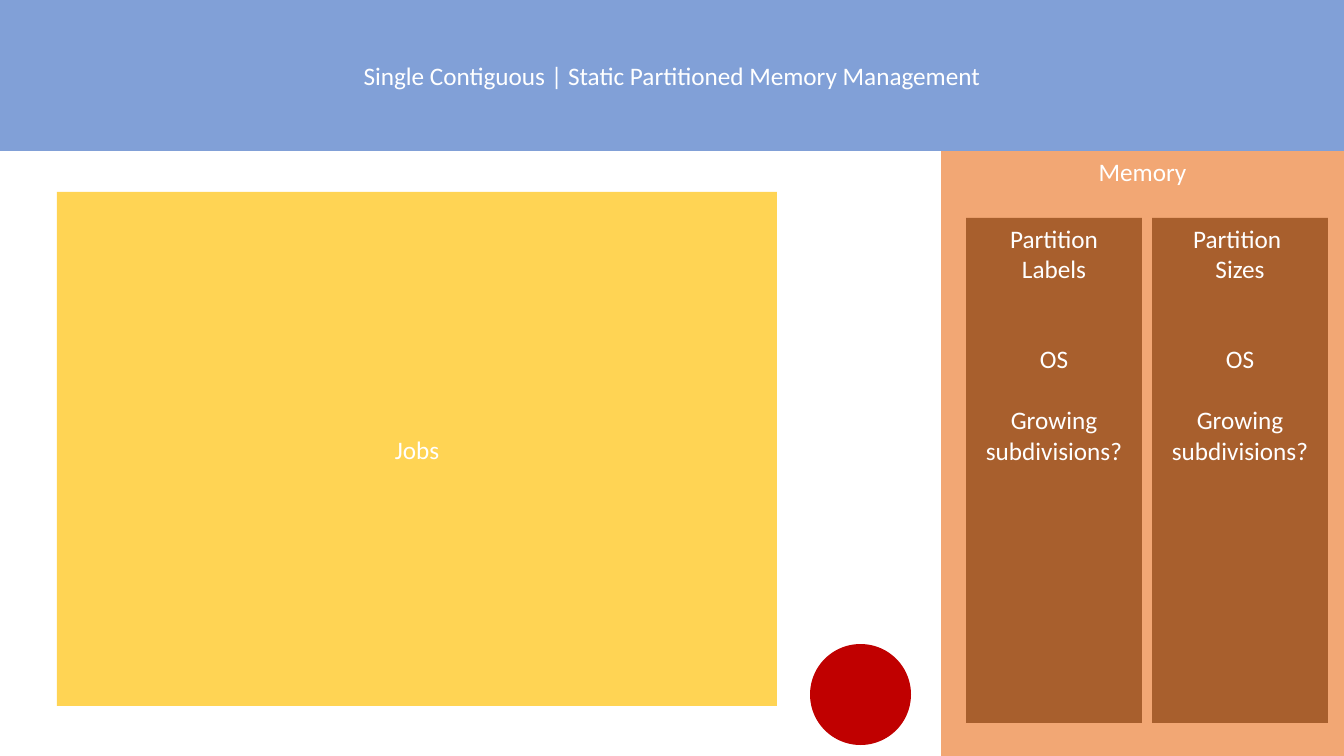
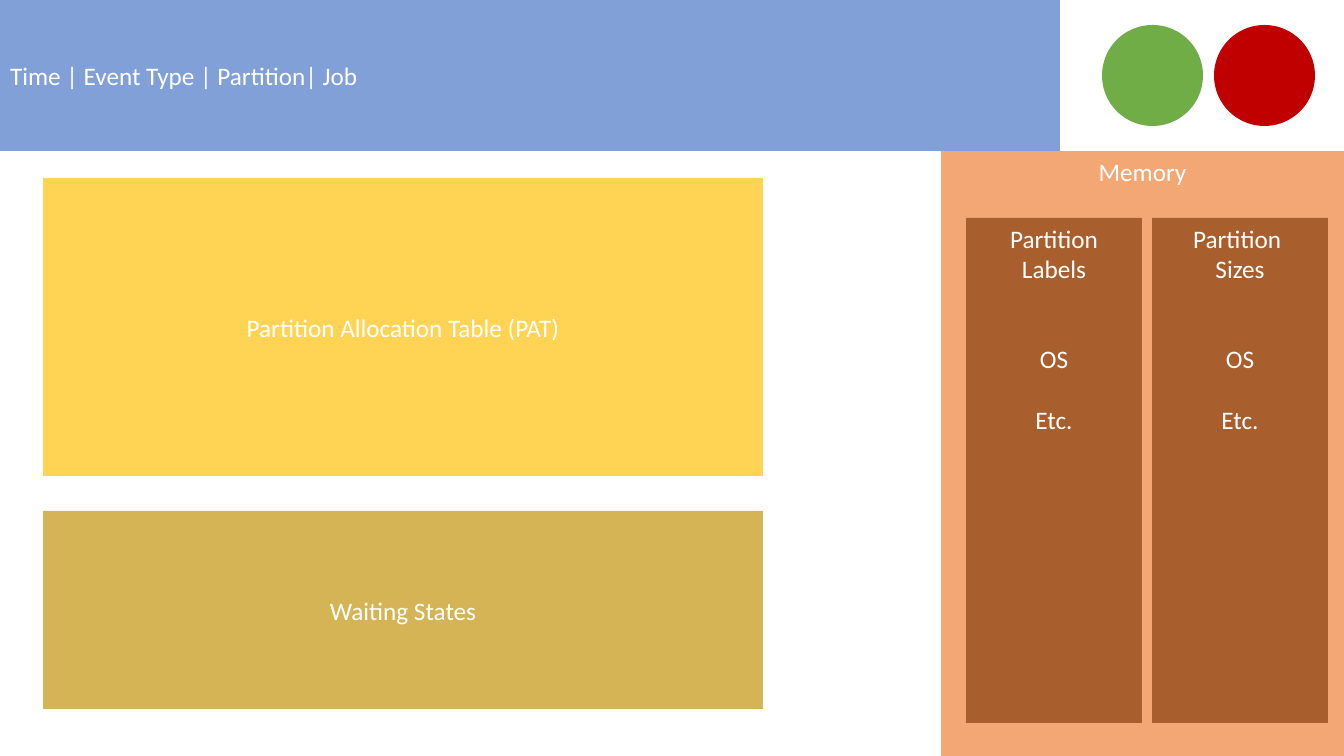
from lxml import etree
from pptx import Presentation
from pptx.dml.color import RGBColor
from pptx.enum.shapes import MSO_SHAPE
from pptx.enum.text import MSO_ANCHOR, MSO_AUTO_SIZE, PP_ALIGN
from pptx.oxml.ns import qn
from pptx.util import Pt

RECT, OVAL = MSO_SHAPE.RECTANGLE, MSO_SHAPE.OVAL
TOP, MIDDLE = MSO_ANCHOR.TOP, MSO_ANCHOR.MIDDLE
LEFT, CENTER = PP_ALIGN.LEFT, PP_ALIGN.CENTER
NO_AUTOFIT = MSO_AUTO_SIZE.NONE

BLUE = RGBColor(0x44, 0x72, 0xC4)
ORANGE = RGBColor(0xED, 0x7D, 0x31)
BROWN = RGBColor(0x84, 0x3C, 0x0B)
GOLD = RGBColor(0xFF, 0xC0, 0x00)
DARK_GOLD = RGBColor(0xBF, 0x90, 0x00)
RED = RGBColor(0xC0, 0x00, 0x00)
GREEN = RGBColor(0x70, 0xAD, 0x47)
WHITE = RGBColor(0xFF, 0xFF, 0xFF)

FONT = "Calibri"
TEXT_SIZE = 18
OPACITY = 67
SLIDE_W, SLIDE_H = 1344, 756
HEADER_H = 151
BUTTON = 101
MEMORY_BOX = (941, HEADER_H, 403, 605)
TRIPLE_LINE_GAP, DOUBLE_LINE_GAP = 43, 22


def px(n):
    return round(n * 12192000 / SLIDE_W)


def fill_shape(sp, color, opacity=100):
    sp.fill.solid()
    sp.fill.fore_color.rgb = color
    if opacity < 100:
        clr = sp.fill._xPr.find(qn("a:solidFill"))[0]
        etree.SubElement(clr, qn("a:alpha")).set("val", str(opacity * 1000))
    sp.line.fill.background()


def write_text(sp, lines, align=CENTER, anchor=MIDDLE):
    tf = sp.text_frame
    tf.word_wrap = True
    tf.auto_size = NO_AUTOFIT
    tf.vertical_anchor = anchor
    for i, (text, space_before) in enumerate(lines):
        p = tf.paragraphs[0] if i == 0 else tf.add_paragraph()
        p.alignment = align
        p.space_before = Pt(space_before)
        r = p.add_run()
        r.text = text
        r.font.name = FONT
        r.font.size = Pt(TEXT_SIZE)
        r.font.color.rgb = WHITE


def add_shape(s, kind, box, color, opacity=100):
    sp = s.shapes.add_shape(kind, *map(px, box))
    sp.shadow.inherit = False
    fill_shape(sp, color, opacity)
    return sp


def add_panel(s, box, color, lines, anchor=MIDDLE):
    sp = add_shape(s, RECT, box, color, OPACITY)
    write_text(sp, lines, anchor=anchor)


def add_button(s, x, y, color):
    add_shape(s, OVAL, (x, y, BUTTON, BUTTON), color)


def add_header(s, text, width, align):
    sp = s.shapes.title
    sp.left, sp.top, sp.width, sp.height = map(px, (0, 0, width, HEADER_H))
    fill_shape(sp, BLUE, OPACITY)
    write_text(sp, [(text, 0)], align)


def add_memory(s, box, last_entry):
    x, y, w, h = box
    column_w, gap = 176, 10
    add_panel(s, box, ORANGE, [("Memory", 0)], TOP)
    headings = [["Partition Labels"], ["Partition ", "Sizes"]]
    for i, heading in enumerate(headings):
        lines = [(text, 0) for text in heading]
        lines += [("OS", TRIPLE_LINE_GAP), (last_entry, DOUBLE_LINE_GAP)]
        column = (x + 25 + i * (column_w + gap), y + 67, column_w, h - 100)
        add_panel(s, column, BROWN, lines, TOP)


def build_setup_slide(prs):
    s = prs.slides.add_slide(prs.slide_layouts[5])
    add_header(s, "Single Contiguous | Static Partitioned Memory Management",
               SLIDE_W, CENTER)
    add_memory(s, MEMORY_BOX, "Growing subdivisions?")
    add_panel(s, (57, 192, 720, 514), GOLD, [("Jobs", 0)])
    add_button(s, 810, 644, RED)


def build_event_slide(prs):
    s = prs.slides.add_slide(prs.slide_layouts[5])
    add_header(s, "Time | Event Type | Partition| Job", 1060, LEFT)
    add_panel(s, (43, 178, 720, 298), GOLD,
              [("Partition Allocation Table (PAT)", 0)])
    add_panel(s, (43, 511, 720, 198), DARK_GOLD, [("Waiting States", 0)])
    add_memory(s, MEMORY_BOX, "Etc.")
    for x, color in ((1102, GREEN), (1214, RED)):
        add_button(s, x, 25, color)


def main():
    prs = Presentation()
    prs.slide_width, prs.slide_height = px(SLIDE_W), px(SLIDE_H)
    build_setup_slide(prs)
    build_event_slide(prs)
    prs.save("out.pptx")


if __name__ == "__main__":
    main()
